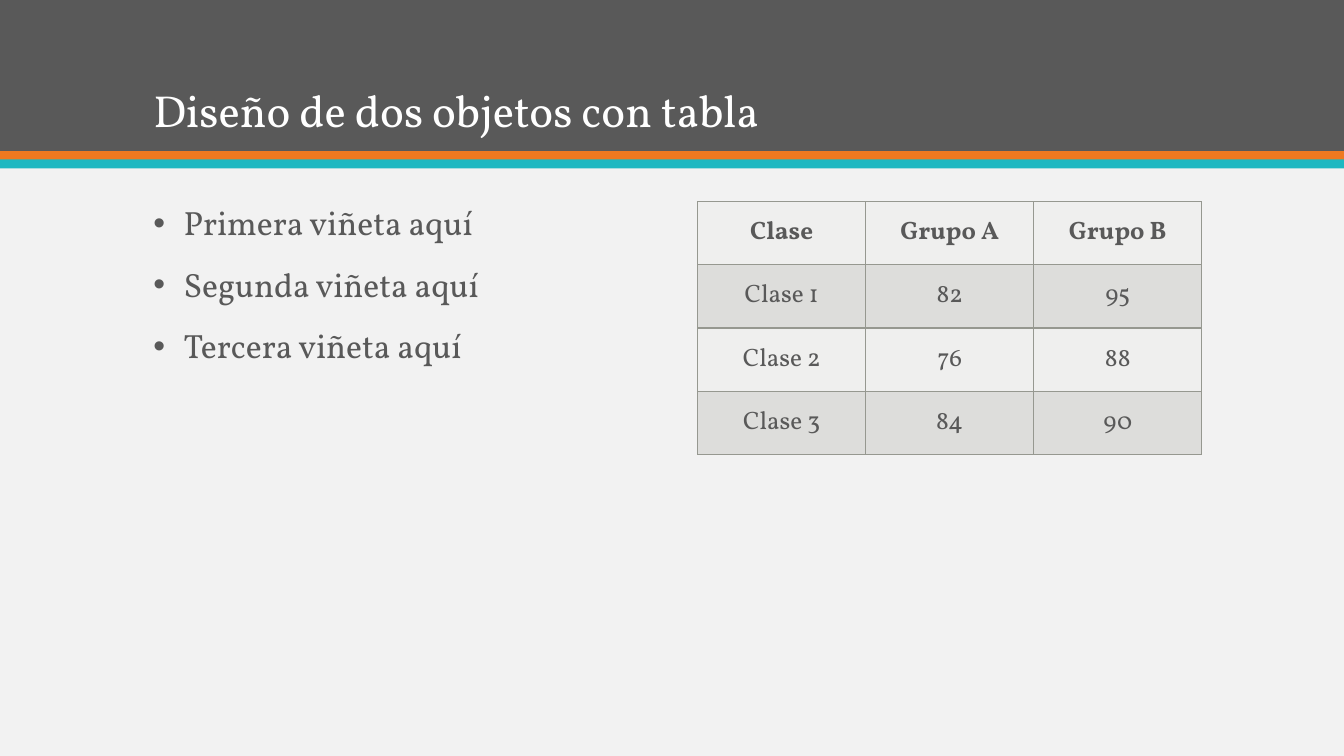
from lxml import etree
from pptx import Presentation
from pptx.dml.color import RGBColor
from pptx.enum import shapes, text
from pptx.oxml import ns
from pptx.util import Inches, Pt

DARK_GRAY = RGBColor(0x59, 0x59, 0x59)
ORANGE = RGBColor(0xEF, 0x79, 0x20)
TEAL = RGBColor(0x1E, 0xB8, 0xC1)
WHITE = RGBColor(0xFF, 0xFF, 0xFF)
BACKGROUND = RGBColor(0xF2, 0xF2, 0xF2)
LIGHT_ROW = RGBColor(0xEF, 0xEF, 0xEE)
SHADED_ROW = RGBColor(0xDD, 0xDD, 0xDB)
BORDER = RGBColor(0x96, 0x98, 0x90)

SLIDE_WIDTH = 13.33
BANDS = [(0, 1.5, DARK_GRAY), (1.5, 0.09, ORANGE), (1.58, 0.09, TEAL)]
BULLETS = ["Primera viñeta aquí", "Segunda viñeta aquí", "Tercera viñeta aquí"]
GRADES = [
    ["Clase", "Grupo A", "Grupo B"],
    ["Clase 1", "82", "95"],
    ["Clase 2", "76", "88"],
    ["Clase 3", "84", "90"],
]


class SlideBuilder:
    font_name = "Vollkorn"

    def __init__(self, presentation):
        self.slide = presentation.slides.add_slide(presentation.slide_layouts[1])
        self.title_shape, self.body_shape = self.slide.placeholders
        fill = self.slide.background.fill
        fill.solid()
        fill.fore_color.rgb = BACKGROUND

    def format_runs(self, paragraph, size, color, bold=False):
        for run in paragraph.runs:
            run.font.name = self.font_name
            run.font.size = Pt(size)
            run.font.color.rgb = color
            run.font.bold = bold

    def place(self, shape, left, top, width, height):
        shape.left, shape.top = Inches(left), Inches(top)
        shape.width, shape.height = Inches(width), Inches(height)

    def band(self, top, height, color):
        """Draw a full-width band behind the title."""
        shape = self.slide.shapes.add_shape(
            shapes.MSO_SHAPE.RECTANGLE,
            0, Inches(top), Inches(SLIDE_WIDTH), Inches(height))
        shape.shadow.inherit = False
        shape.fill.solid()
        shape.fill.fore_color.rgb = color
        shape.line.fill.background()
        self.title_shape._element.addprevious(shape._element)

    def title(self, wording):
        self.place(self.title_shape, 1.42, 0.28, 10.5, 1.13)
        frame = self.title_shape.text_frame
        frame.text = wording
        frame.auto_size = text.MSO_AUTO_SIZE.NONE
        frame.vertical_anchor = text.MSO_ANCHOR.BOTTOM
        paragraph = frame.paragraphs[0]
        paragraph.alignment = text.PP_ALIGN.LEFT
        paragraph.line_spacing = 0.9
        self.format_runs(paragraph, 32, WHITE)

    def bullets(self, items):
        self.place(self.body_shape, 1.42, 2, 5, 4.75)
        frame = self.body_shape.text_frame
        frame.text = "\n".join(items)
        frame.auto_size = text.MSO_AUTO_SIZE.NONE
        frame.vertical_anchor = text.MSO_ANCHOR.TOP
        for paragraph in frame.paragraphs:
            paragraph.line_spacing = 0.9
            paragraph.space_before = Pt(18)
            self.format_runs(paragraph, 24, DARK_GRAY)
            properties = paragraph._p.get_or_add_pPr()
            properties.set("marL", str(Inches(0.3)))
            properties.set("indent", str(Inches(-0.3)))
            etree.SubElement(properties, ns.qn("a:buFont"), typeface="Arial")
            etree.SubElement(properties, ns.qn("a:buChar"), char="•")

    def table(self, rows):
        table = self.slide.shapes.add_table(
            len(rows), len(rows[0]),
            Inches(6.92), Inches(2), Inches(5), Inches(2.51)).table
        table.first_row = table.horz_banding = False
        for row_index, row in enumerate(rows):
            for column_index, wording in enumerate(row):
                cell = table.cell(row_index, column_index)
                cell.text_frame.text = wording
                cell.vertical_anchor = text.MSO_ANCHOR.MIDDLE
                paragraph = cell.text_frame.paragraphs[0]
                paragraph.alignment = text.PP_ALIGN.CENTER
                self.format_runs(paragraph, 18, DARK_GRAY, bold=row_index == 0)
                self.cell_borders(cell)
                cell.fill.solid()
                cell.fill.fore_color.rgb = SHADED_ROW if row_index % 2 else LIGHT_ROW

    def cell_borders(self, cell):
        properties = cell._tc.get_or_add_tcPr()
        for side in ("lnL", "lnR", "lnT", "lnB"):
            line = etree.SubElement(properties, ns.qn(f"a:{side}"), w=str(Pt(1)))
            fill = etree.SubElement(line, ns.qn("a:solidFill"))
            etree.SubElement(fill, ns.qn("a:srgbClr"), val=str(BORDER))


def main():
    presentation = Presentation()
    presentation.slide_width = Inches(SLIDE_WIDTH)
    presentation.slide_height = Inches(7.5)
    builder = SlideBuilder(presentation)
    for band in BANDS:
        builder.band(*band)
    builder.title("Diseño de dos objetos con tabla")
    builder.bullets(BULLETS)
    builder.table(GRADES)
    presentation.save("out.pptx")


if __name__ == "__main__":
    main()
